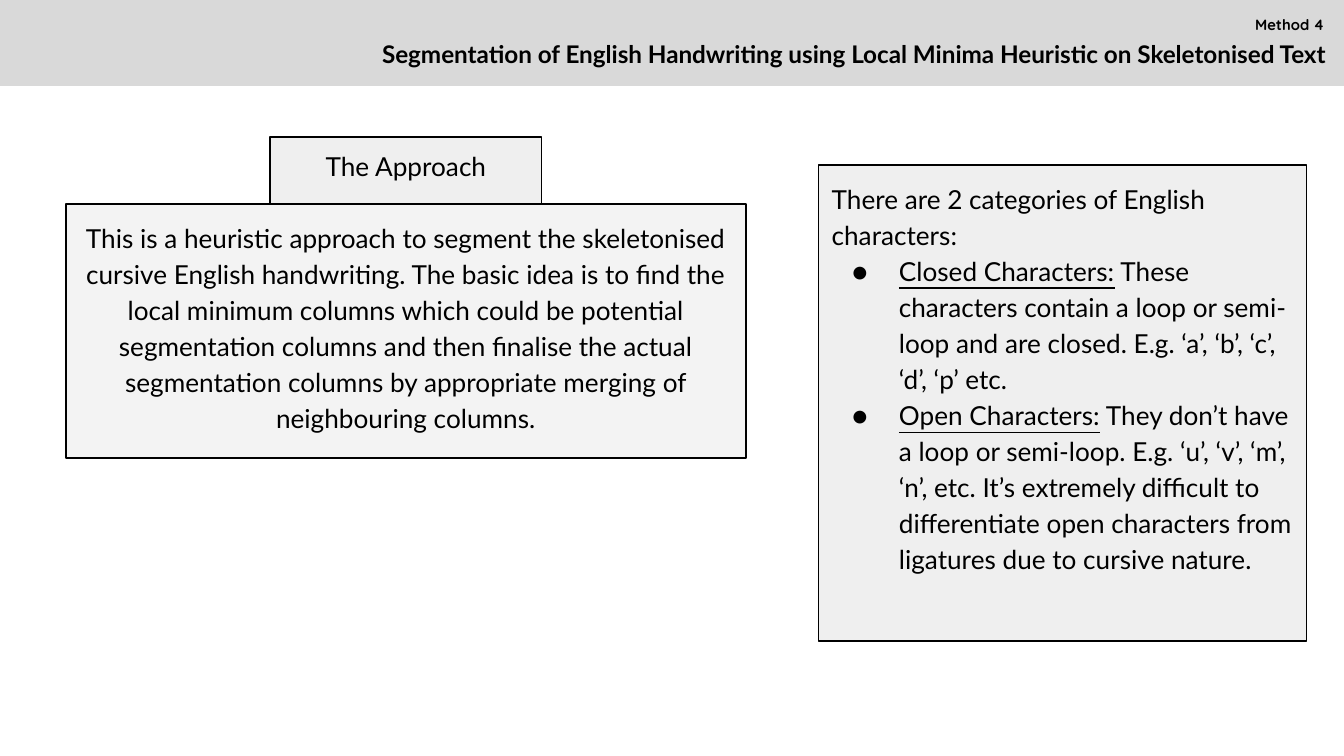
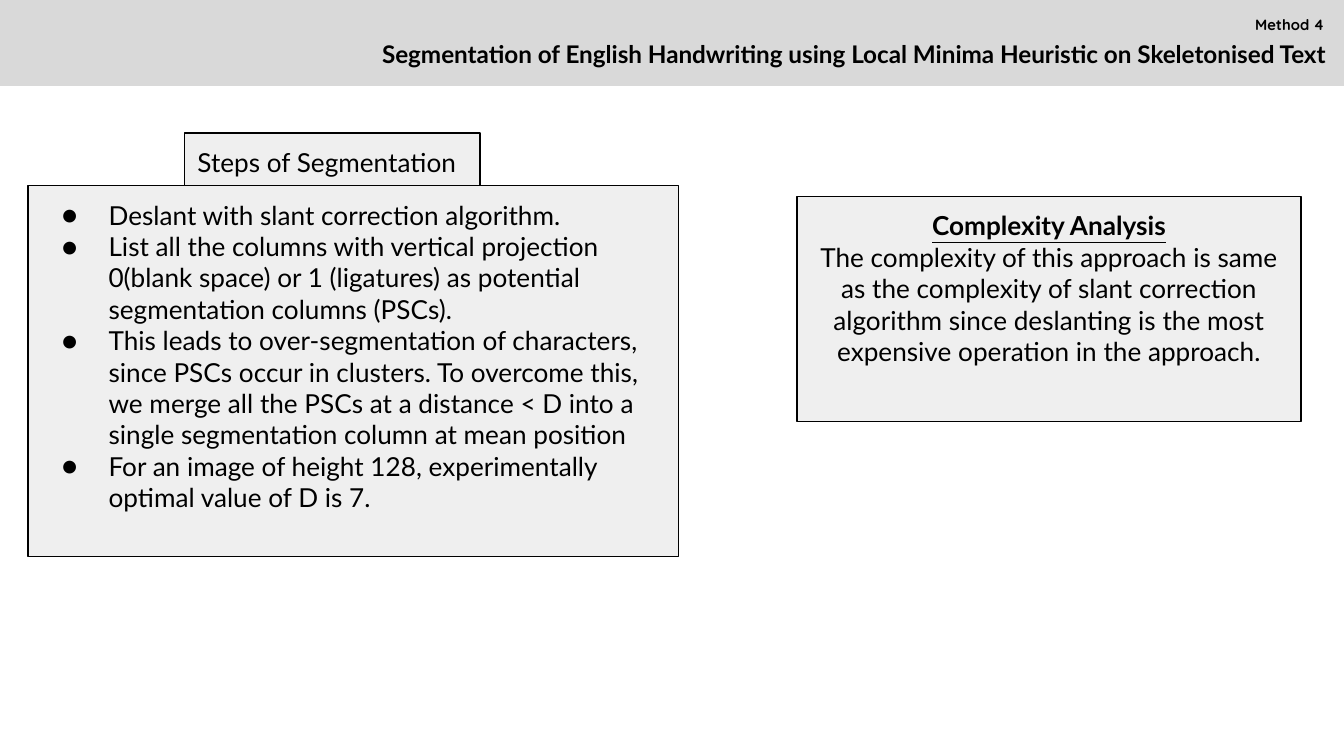
"""Build two slides on segmenting handwriting with a local minima heuristic."""
from dataclasses import dataclass

from lxml.etree import SubElement
from pptx import Presentation
from pptx.dml.color import RGBColor
from pptx.enum.shapes import MSO_SHAPE
from pptx.enum.text import MSO_ANCHOR, PP_ALIGN
from pptx.oxml.ns import qn
from pptx.util import Pt


@dataclass(frozen=True)
class Theme:
    """Colours, fonts, sizes and spacing shared by the slides."""
    ink: str = "000000"
    band: str = "D9D9D9"
    panel: str = "EFEFEF"
    pale_panel: str = "F3F3F3"
    body_font: str = "Lato"
    label_font: str = "Quicksand"
    body_size: float = 14
    title_size: float = 13
    label_size: float = 8
    outline: float = 0.75
    inset: float = 7.2
    loose: float = 1.15
    bullet_indent: float = 36
    bullet_hang: float = 25


class Deck:
    """Holds the theme and the current slide, and draws each kind of element."""

    def __init__(self, theme, width, height):
        """Start an empty presentation of the given size."""
        self.theme = theme
        self.width = width
        self.presentation = Presentation()
        self.presentation.slide_width = Pt(width)
        self.presentation.slide_height = Pt(height)
        self.slide = None

    def new_slide(self):
        """Add a blank slide and make it current."""
        self.slide = self.presentation.slides.add_slide(
            self.presentation.slide_layouts[6])

    def rectangle(self, box, fill, outlined=True):
        """Draw a flat rectangle, outlined on request."""
        rectangle = self.slide.shapes.add_shape(
            MSO_SHAPE.RECTANGLE, *map(Pt, box))
        rectangle.shadow.inherit = False
        rectangle.fill.solid()
        rectangle.fill.fore_color.rgb = RGBColor.from_string(fill)
        if outlined:
            rectangle.line.color.rgb = RGBColor.from_string(self.theme.ink)
            rectangle.line.width = Pt(self.theme.outline)
        else:
            rectangle.line.fill.background()
        return rectangle

    def frame(self, holder):
        """Set wrapping, anchor and insets, and return the text frame."""
        frame = holder.text_frame
        frame.word_wrap = True
        frame.vertical_anchor = MSO_ANCHOR.TOP
        frame.margin_left = frame.margin_right = Pt(self.theme.inset)
        frame.margin_top = frame.margin_bottom = Pt(self.theme.inset)
        return frame

    def run(self, paragraph, wording, size=None, font=None, bold=False,
            underline=False):
        """Add one styled run to a paragraph."""
        run = paragraph.add_run()
        run.text = wording
        run.font.size = Pt(size or self.theme.body_size)
        run.font.name = font or self.theme.body_font
        run.font.bold = bold
        run.font.underline = underline
        run.font.color.rgb = RGBColor.from_string(self.theme.ink)

    def bullet(self, paragraph):
        """Give a paragraph a round bullet and a hanging indent."""
        properties = paragraph._p.get_or_add_pPr()
        properties.set("marL", str(Pt(self.theme.bullet_indent)))
        properties.set("indent", str(-Pt(self.theme.bullet_hang)))
        colour = SubElement(properties, qn("a:buClr"))
        SubElement(colour, qn("a:srgbClr"), val=self.theme.ink)
        SubElement(properties, qn("a:buFont"), typeface=self.theme.body_font)
        SubElement(properties, qn("a:buChar"), char="●")

    def panel(self, box, paragraphs, fill=None, align=PP_ALIGN.LEFT,
              spacing=1.0):
        """Draw an outlined panel of (bulleted, runs) paragraphs."""
        frame = self.frame(self.rectangle(box, fill or self.theme.panel))
        for index, (bulleted, runs) in enumerate(paragraphs):
            paragraph = frame.add_paragraph() if index else frame.paragraphs[0]
            paragraph.alignment = align
            paragraph.line_spacing = spacing
            if bulleted:
                self.bullet(paragraph)
            for wording, style in runs:
                self.run(paragraph, wording, **style)

    def caption(self, box, wording, size, font, align=PP_ALIGN.LEFT,
                spacing=1.0, after=0):
        """Add one bold line of text in a text box."""
        holder = self.slide.shapes.add_textbox(*map(Pt, box))
        paragraph = self.frame(holder).paragraphs[0]
        paragraph.alignment = align
        paragraph.line_spacing = spacing
        paragraph.space_after = Pt(after)
        self.run(paragraph, wording, size, font, bold=True)

    def header(self, title, label):
        """Draw the top band with its title and method label."""
        theme = self.theme
        self.rectangle((0, 0, self.width, 46), theme.band, outlined=False)
        self.caption((186.5, 11.5, 533.5, 35.3), title, theme.title_size,
                     theme.body_font, PP_ALIGN.RIGHT, theme.loose, 16)
        self.caption((665.3, 3.6, 54.7, 20.9), label, theme.label_size,
                     theme.label_font)

    def save(self):
        """Write the presentation."""
        self.presentation.save("out.pptx")


TITLE = ("Segmentation of English Handwriting using Local Minima Heuristic "
         "on Skeletonised Text ")
METHOD = "Method 4"
APPROACH = (
    "This is a heuristic approach to segment the skeletonised cursive English "
    "handwriting. The basic idea is to find the local minimum columns which "
    "could be potential segmentation columns and then finalise the actual "
    "segmentation columns by appropriate merging of neighbouring columns.")
CATEGORIES = (
    ("Closed Characters:",
     " These characters contain a loop or semi-loop and are closed. "
     "E.g. ‘a’, ‘b’, ‘c’, ‘d’, ‘p’ etc."),
    ("Open Characters:",
     " They don’t have a loop or semi-loop. E.g. ‘u’, ‘v’, ‘m’, ‘n’, etc. "
     "It’s extremely difficult to differentiate open characters from "
     "ligatures due to cursive nature."),
)
STEPS = (
    "Deslant with slant correction algorithm.",
    "List all the columns with vertical projection 0(blank space) or 1 "
    "(ligatures) as potential segmentation columns (PSCs).",
    "This leads to over-segmentation of characters, since PSCs occur in "
    "clusters. To overcome this, we merge all the PSCs at a distance < D into "
    "a single segmentation column at mean position",
    "For an image of height 128, experimentally optimal value of D is 7.",
)
COMPLEXITY = (
    "The complexity of this approach is same as the complexity of slant "
    "correction algorithm since deslanting is the most expensive operation "
    "in the approach.")


def plain(wording):
    """Return an unbulleted paragraph of one plain run."""
    return False, [(wording, {})]


def approach_slide(deck):
    """Build the slide on the approach and the character categories."""
    theme = deck.theme
    deck.new_slide()
    deck.header(TITLE, METHOD)
    deck.panel((35.3, 109.4, 364.3, 136), [plain(APPROACH)], theme.pale_panel,
               PP_ALIGN.CENTER, theme.loose)
    deck.panel((144.7, 73.4, 145.6, 36), [plain("The Approach")],
               align=PP_ALIGN.CENTER)
    categories = [(True, [(name, {"underline": True}), (meaning, {})])
                  for name, meaning in CATEGORIES]
    deck.panel((438.5, 88.5, 261.4, 255),
               [plain("There are 2 categories of English characters:"),
                *categories], spacing=theme.loose)


def steps_slide(deck):
    """Build the slide on the segmentation steps and their complexity."""
    deck.new_slide()
    deck.panel((15.1, 99.4, 348.5, 198.8),
               [(True, [(step, {})]) for step in STEPS])
    heading = ("Complexity Analysis", {"bold": True, "underline": True})
    deck.panel((427, 105.2, 270, 120.6),
               [(False, [heading]), plain(COMPLEXITY)], align=PP_ALIGN.CENTER)
    deck.header(TITLE, METHOD)
    deck.panel((98.7, 71.3, 158.4, 28.1), [plain("Steps of Segmentation")])


def main():
    """Build and save the deck."""
    deck = Deck(Theme(), 720, 405)
    approach_slide(deck)
    steps_slide(deck)
    deck.save()


if __name__ == "__main__":
    main()
